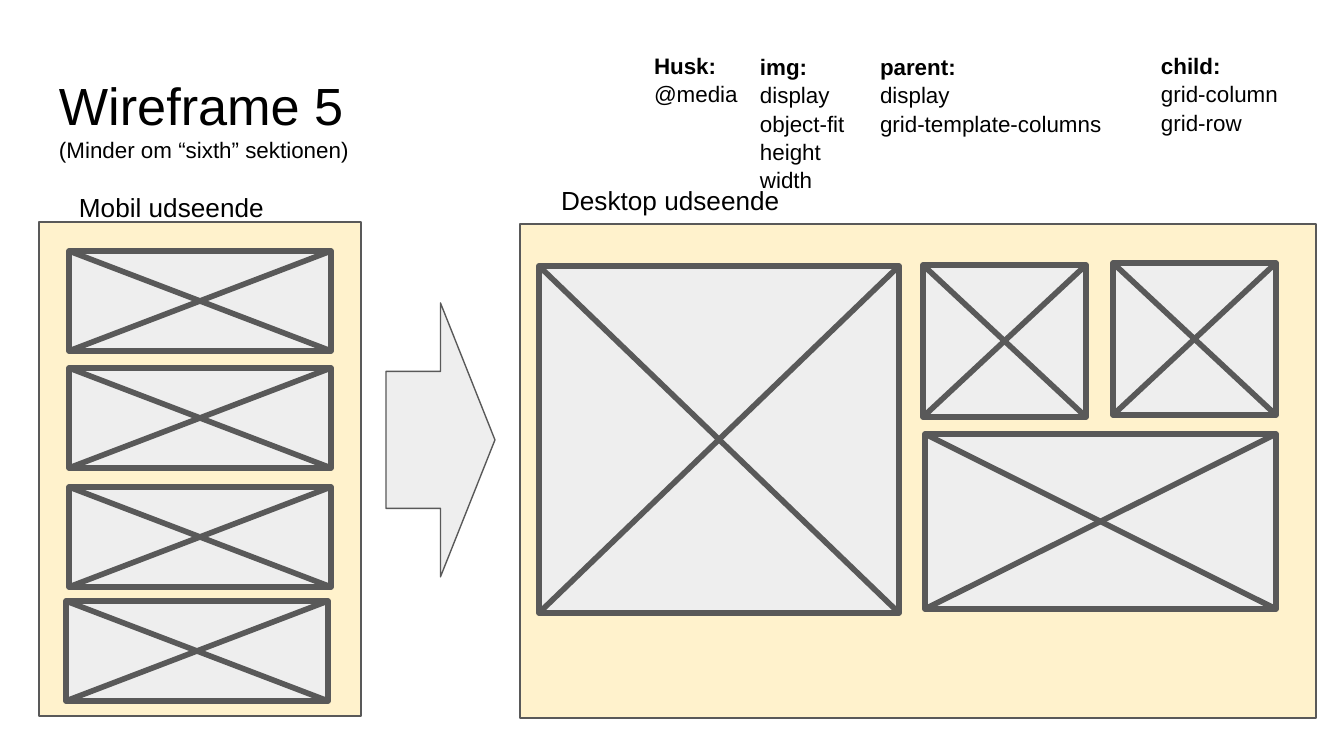
"""Build the wireframe slide that compares a mobile and a desktop layout."""
from typing import NamedTuple

from lxml import etree
from pptx import Presentation
from pptx.dml.color import RGBColor
from pptx.enum.shapes import MSO_CONNECTOR, MSO_SHAPE
from pptx.enum.text import MSO_ANCHOR, MSO_AUTO_SIZE, PP_ALIGN
from pptx.oxml.ns import qn
from pptx.util import Emu, Pt

RECTANGLE = MSO_SHAPE.RECTANGLE
RIGHT_ARROW = MSO_SHAPE.RIGHT_ARROW
STRAIGHT = MSO_CONNECTOR.STRAIGHT
TOP = MSO_ANCHOR.TOP
LEFT = PP_ALIGN.LEFT
NO_AUTOFIT = MSO_AUTO_SIZE.NONE

BLACK = RGBColor(0x00, 0x00, 0x00)
CREAM = RGBColor(0xFF, 0xF2, 0xCC)
LIGHT_GRAY = RGBColor(0xEE, 0xEE, 0xEE)
DARK_GRAY = RGBColor(0x59, 0x59, 0x59)

FONT = "Arial"
EMU_PER_PIXEL = 914400 / 134.4
INSET = 13
TITLE_TOP_INSET = 19
THIN, THICK = 0.75, 3


class Box(NamedTuple):
    left: int
    top: int
    width: int
    height: int


class Label(NamedTuple):
    box: Box
    lines: list[str]
    size: int
    bold_heading: bool = False
    line_spacing: float = 1.0


SLIDE = Box(0, 0, 1344, 756)
TITLE = Label(Box(46, 54, 1252, 85),
              ["Wireframe 5", "(Minder om “sixth” sektionen)"], 12)
TITLE_SIZE = 28
PANELS = [Box(520, 224, 796, 494), Box(39, 222, 322, 494)]
ARROW = Box(386, 303, 109, 274)
MOBILE_IMAGES = [Box(left, top, 262, 100)
                 for left, top in [(69, 251), (69, 368), (69, 487), (66, 601)]]
DESKTOP_IMAGES = [
    Box(539, 266, 360, 347),
    Box(923, 265, 163, 152),
    Box(1113, 263, 163, 152),
    Box(925, 434, 351, 175),
]
LABELS = [
    Label(Box(66, 178, 278, 63), ["Mobil udseende"], 14),
    Label(Box(548, 171, 439, 63), ["Desktop udseende"], 14),
    Label(Box(641, 38, 224, 146), ["Husk:", "@media"], 12, True, 1.05),
    Label(Box(747, 39, 200, 146),
          ["img:", "display", "object-fit", "height", "width"], 12, True, 1.05),
    Label(Box(867, 39, 261, 146),
          ["parent:", "display", "grid-template-columns"], 12, True, 1.05),
    Label(Box(1148, 38, 200, 146),
          ["child:", "grid-column", "grid-row"], 12, True, 1.05),
]


def px(value: float) -> Emu:
    """Turn pixels into EMU."""
    return Emu(round(value * EMU_PER_PIXEL))


def scaled(box: Box) -> list[Emu]:
    """Turn a pixel box into EMU lengths."""
    return [px(value) for value in box]


def write_label(shape, label: Label) -> None:
    """Fill a shape with the lines of a label and format them."""
    frame = shape.text_frame
    frame.text = "\n".join(label.lines)
    frame.word_wrap = True
    frame.auto_size = NO_AUTOFIT
    frame.vertical_anchor = TOP
    frame.margin_left = frame.margin_right = px(INSET)
    frame.margin_top = frame.margin_bottom = px(INSET)
    for index, paragraph in enumerate(frame.paragraphs):
        paragraph.alignment = LEFT
        paragraph.line_spacing = label.line_spacing
        paragraph.space_before = Pt(0)
        for run in paragraph.runs:
            run.font.name = FONT
            run.font.size = Pt(label.size)
            run.font.color.rgb = BLACK
            run.font.bold = label.bold_heading and index == 0


def draw_title(slide) -> None:
    """Place the title with its smaller second line."""
    title = slide.shapes.title
    title.left, title.top, title.width, title.height = scaled(TITLE.box)
    write_label(title, TITLE)
    title.text_frame.margin_top = px(TITLE_TOP_INSET)
    title.text_frame.paragraphs[0].runs[0].font.size = Pt(TITLE_SIZE)


def draw_shape(shapes, kind, box: Box, fill: RGBColor, line_width: float) -> None:
    """Draw an outlined shape without shadow."""
    shape = shapes.add_shape(kind, *scaled(box))
    shape.shadow.inherit = False
    shape.fill.solid()
    shape.fill.fore_color.rgb = fill
    shape.line.color.rgb = DARK_GRAY
    shape.line.width = Pt(line_width)


def draw_image_frame(slide, box: Box) -> None:
    """Draw a grouped image frame crossed by its two diagonals."""
    shapes = slide.shapes.add_group_shape().shapes
    draw_shape(shapes, RECTANGLE, box, LIGHT_GRAY, THICK)
    right, bottom = box.left + box.width, box.top + box.height
    for start, end in [(box.top, bottom), (bottom, box.top)]:
        diagonal = shapes.add_connector(
            STRAIGHT, px(box.left), px(start), px(right), px(end))
        diagonal.line.color.rgb = DARK_GRAY
        diagonal.line.width = Pt(THICK)
        etree.SubElement(diagonal._element.spPr, qn("a:effectLst"))


def main() -> None:
    """Build and save the slide."""
    presentation = Presentation()
    presentation.slide_width = px(SLIDE.width)
    presentation.slide_height = px(SLIDE.height)
    slide = presentation.slides.add_slide(presentation.slide_layouts[5])
    draw_title(slide)
    for panel in PANELS:
        draw_shape(slide.shapes, RECTANGLE, panel, CREAM, THIN)
    draw_shape(slide.shapes, RIGHT_ARROW, ARROW, LIGHT_GRAY, THIN)
    for image in MOBILE_IMAGES + DESKTOP_IMAGES:
        draw_image_frame(slide, image)
    for label in LABELS:
        write_label(slide.shapes.add_textbox(*scaled(label.box)), label)
    presentation.save("out.pptx")


main()
